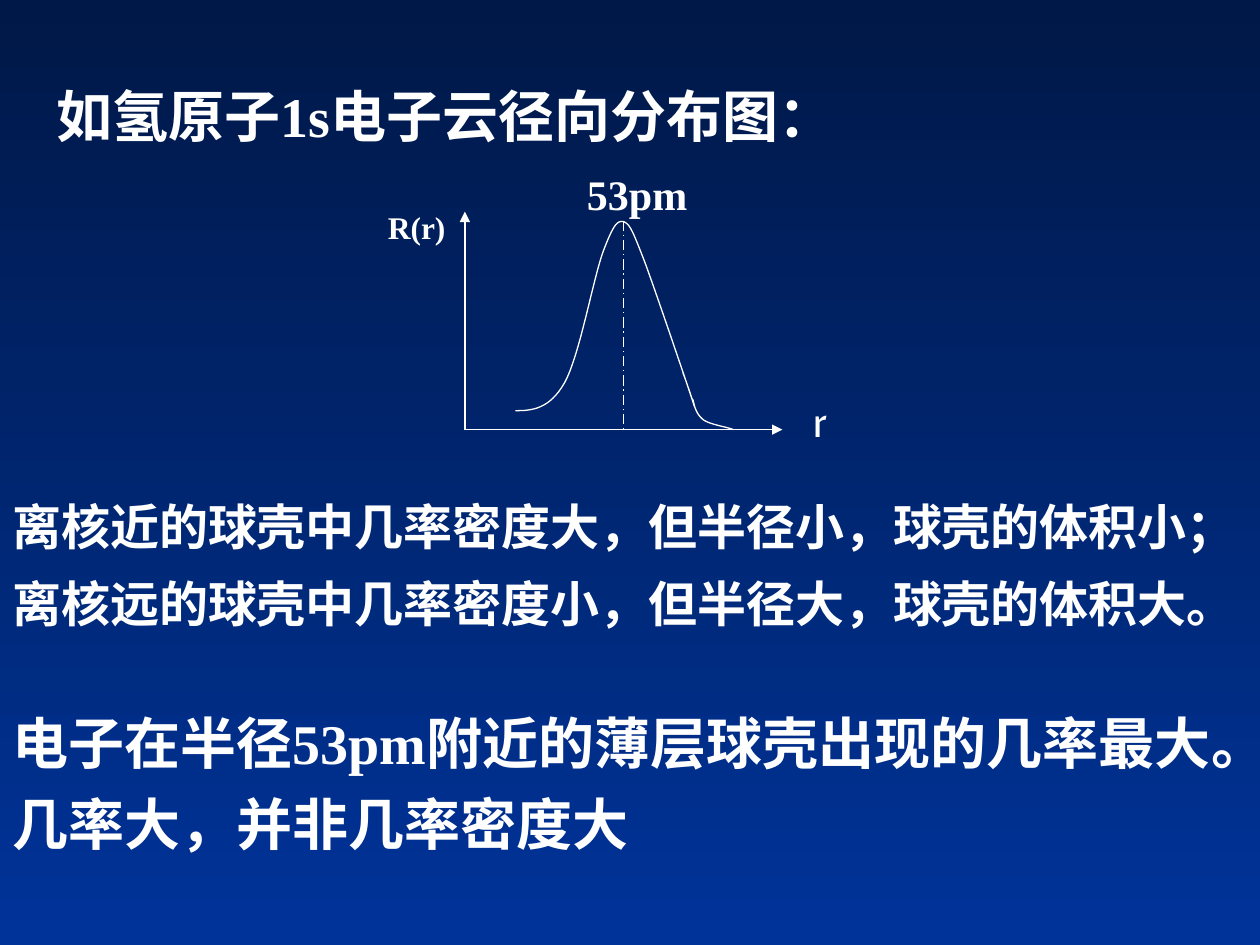
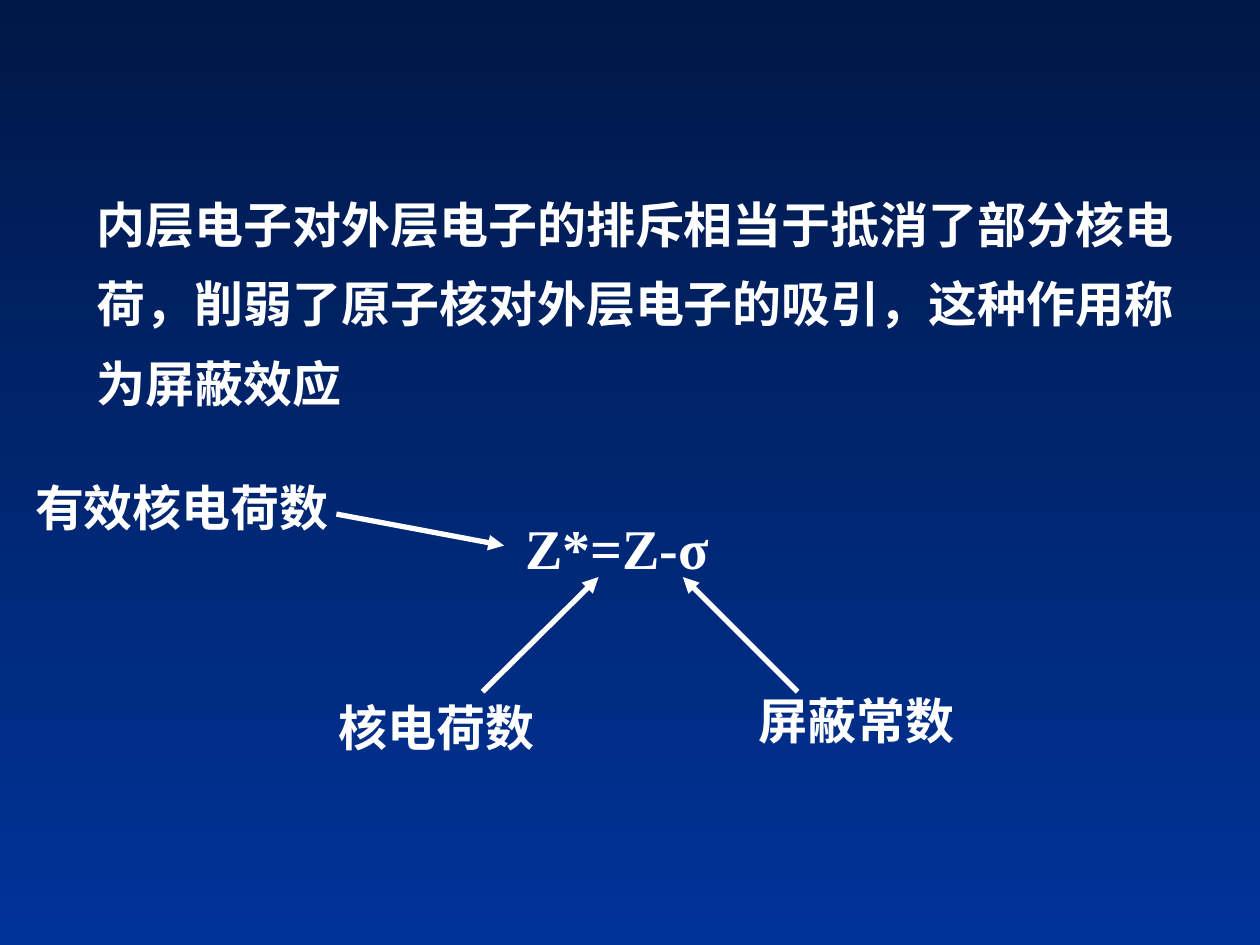
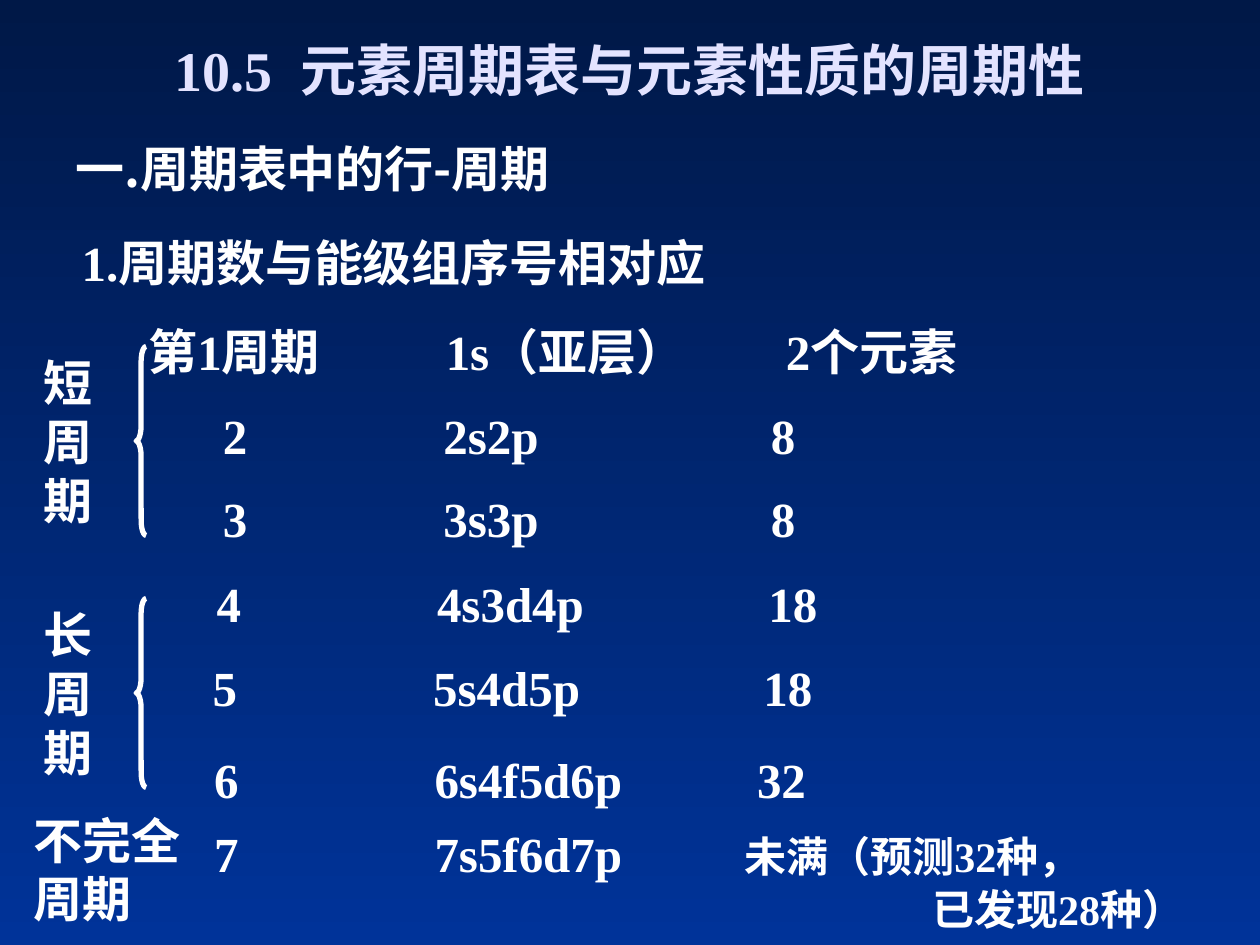
import lxml.etree
import pptx
import pptx.dml.color
import pptx.enum.dml
import pptx.enum.lang
import pptx.enum.shapes
import pptx.enum.text
import pptx.oxml.ns
import pptx.util

Inches = pptx.util.Inches
Pt = pptx.util.Pt
qn = pptx.oxml.ns.qn
ALIGN = pptx.enum.text.PP_ALIGN
ANCHOR = pptx.enum.text.MSO_ANCHOR
COLORS = {"sky": "001847", "deep": "003399", "text": "FFFFFF", "title": "E3E3FF"}
SERIF, SANS, HAN = "Times New Roman", "Cabin", "Noto Sans CJK SC"
TITLE_ONLY, BLANK = 5, 6


def rgb(name):
    return pptx.dml.color.RGBColor.from_string(COLORS[name])


def set_all(target, values):
    for key, value in values.items():
        setattr(target, key, value)


def sub(parent, tag, **attributes):
    return lxml.etree.SubElement(parent, qn(tag), attributes)


def paint_master(master):
    fill = master.background.fill
    fill.gradient()
    fill.gradient_angle = 270
    for stop, name, position in zip(fill.gradient_stops, ("sky", "deep"), (0, 1)):
        stop.color.rgb = rgb(name)
        stop.position = position


def write(shape, paragraphs, size=28, font=SERIF, bold=True, color="text", wrap=True,
          anchor=ANCHOR.TOP, layout=None, gap=0, tabs=()):
    frame = shape.text_frame
    set_all(frame, {
        "word_wrap": wrap, "vertical_anchor": anchor,
        "auto_size": pptx.enum.text.MSO_AUTO_SIZE.NONE,
        "margin_left": Inches(0.1), "margin_right": Inches(0.1),
        "margin_top": Inches(0.05), "margin_bottom": Inches(0.05),
    })
    for index, runs in enumerate(paragraphs):
        paragraph = frame.add_paragraph() if index else frame.paragraphs[0]
        if tabs:
            stops = sub(paragraph._p.get_or_add_pPr(), "a:tabLst")
            for stop in tabs:
                sub(stops, "a:tab", pos=str(Inches(stop)), algn="l")
        set_all(paragraph, {"alignment": ALIGN.LEFT, "space_before": Pt(gap if index else 0),
                            **(layout or {})})
        for text, changes in ([(runs, {})] if isinstance(runs, str) else runs):
            run = paragraph.add_run()
            run.text = text
            run.font.color.rgb = rgb(color)
            set_all(run.font, {
                "size": Pt(size), "name": font, "bold": bold,
                "language_id": pptx.enum.lang.MSO_LANGUAGE_ID.SIMPLIFIED_CHINESE,
                **changes,
            })
            sub(run.font._element, "a:ea", typeface=SANS)


def add_text(slide, box, paragraphs, **style):
    shape = slide.shapes.add_textbox(*map(Inches, box))
    write(shape, paragraphs, **style)


def add_title(slide, box, runs, **style):
    title = slide.shapes.title
    set_all(title, dict(zip(("left", "top", "width", "height"), map(Inches, box))))
    write(title, [runs], size=32, **style)
    return title


def add_line(slide, start, end, width, arrow=True, dash=None):
    line = slide.shapes.add_connector(
        pptx.enum.shapes.MSO_CONNECTOR.STRAIGHT, *map(Inches, (*start, *end)))
    line.line.color.rgb = rgb("text")
    set_all(line.line, {"width": Pt(width), "dash_style": dash})
    properties = line._element.spPr
    if arrow:
        sub(properties.find(qn("a:ln")), "a:tailEnd", type="triangle")
    sub(properties, "a:effectLst")


def outline(shape, width):
    shape.shadow.inherit = False
    shape.fill.background()
    shape.line.color.rgb = rgb("text")
    shape.line.width = Pt(width)


def bezier(points, t):
    weights = ((1 - t) ** 3, 3 * t * (1 - t) ** 2, 3 * t ** 2 * (1 - t), t ** 3)
    return tuple(sum(w * p[axis] for w, p in zip(weights, points)) for axis in (0, 1))


def add_curve(slide, points, steps=16):
    trace = [points[0]]
    for first in range(0, len(points) - 1, 3):
        segment = points[first:first + 4]
        trace += [bezier(segment, step / steps) for step in range(1, steps + 1)]
    trace = [(Inches(x), Inches(y)) for x, y in trace]
    builder = slide.shapes.build_freeform(*trace[0], scale=1.0)
    builder.add_line_segments(trace[1:], close=False)
    outline(builder.convert_to_shape(), 0.75)


def radial_plot(slide, left, bottom):
    def at(x, y):
        return left + x, bottom - y

    add_line(slide, at(0, 0), at(0, 1.73), 0.75)
    add_line(slide, at(0, 0), at(2.52, 0), 0.75)
    add_line(slide, at(1.26, 1.66), at(1.26, 0), 0.75, arrow=False,
             dash=pptx.enum.dml.MSO_LINE.LONG_DASH_DOT)
    peak = [(0.4, 0.15), (0.53, 0.15), (0.67, 0.16), (0.79, 0.37),
            (0.91, 0.58), (1.02, 1.21), (1.1, 1.42),
            (1.18, 1.63), (1.21, 1.66), (1.26, 1.65),
            (1.31, 1.63), (1.33, 1.58), (1.42, 1.35),
            (1.51, 1.11), (1.76, 0.37), (1.81, 0.22),
            (1.86, 0.07), (1.75, 0.41), (1.73, 0.45)]
    tail = [(1.81, 0.24), (1.82, 0.18), (1.84, 0.12), (1.89, 0.08),
            (1.94, 0.04), (2.09, 0.02), (2.13, 0)]
    for curve in (peak, tail):
        add_curve(slide, [at(*point) for point in curve])
    for text, x, y, width, height, style in (
        ("r", 2.67, 0.32, 0.34, 0.5, {"size": 24, "font": SANS, "bold": False}),
        ("53pm", 0.87, 2.12, 0.99, 0.5, {"size": 24}),
        ("R(r)", -0.71, 1.81, 0.66, 0.4, {"size": 18}),
    ):
        add_text(slide, (*at(x, y), width, height), [text], wrap=False, **style)


def radial_slide(slide):
    han = {"name": HAN}
    title = add_title(slide, (0.35, 0.44, 9, 0.85),
                      [("如氢原子", han), ("1s", {}), ("电子云径向分布图：", han)],
                      layout={"line_spacing": 1.3})
    title._element.txBody.p_lst[0].get_or_add_pPr().attrib.update(
        {"marL": str(Inches(0.38)), "indent": str(-Inches(0.38))})
    add_text(slide, (0, 5.47, 10.22, 2.02),
             [[("电子在半径53pm", {}), ("附近的薄层球壳出现的几率最大。", han)],
              [("几率大，并非几率密度大", han)]],
             size=32, layout={"line_spacing": 1.2})
    radial_plot(slide, 3.69, 3.41)
    add_text(slide, (0, 3.75, 10, 1.32),
             ["离核近的球壳中几率密度大，但半径小，球壳的体积小；"
              "离核远的球壳中几率密度小，但半径大，球壳的体积大。"],
             font=HAN, anchor=ANCHOR.MIDDLE, layout={"line_spacing": 1.3})


def formula(slide, left, top):
    add_text(slide, (left, top, 1.66, 0.64), ["Z*=Z-σ"], size=32, wrap=False)
    for label, x, y, width, start, end in (
        ("核电荷数", -1.48, 1.46, 1.75, (-0.24, 1.46), (0.68, 0.55)),
        ("屏蔽常数", 1.85, 1.4, 1.75, (2.26, 1.46), (1.35, 0.55)),
        ("有效核电荷数", -3.89, -0.29, 2.53, (-1.4, 0.05), (-0.07, 0.3)),
    ):
        add_text(slide, (left + x, top + y, width, 0.57), [label], font=SANS, wrap=False)
        add_line(slide, (left + start[0], top + start[1]),
                 (left + end[0], top + end[1]), 3)


def shielding_slide(slide):
    add_text(slide, (0.67, 1.33, 8.83, 1.99),
             ["内层电子对外层电子的排斥相当于抵消了部分核电荷，"
              "削弱了原子核对外层电子的吸引，这种作用称为屏蔽效应"],
             layout={"line_spacing": 1.35})
    formula(slide, 4.07, 4.03)


def period_group(slide, label, left, top, height=1.5):
    add_text(slide, (left, top, 0.59, height), list(label), font=SANS, wrap=False)
    brace = slide.shapes.add_shape(
        pptx.enum.shapes.MSO_SHAPE.LEFT_BRACE,
        *map(Inches, (left + 0.83, top, 0.08, height)))
    brace.adjustments[0] = 1.5
    outline(brace, 3)


def period_rows(slide, left, top):
    for cells, x, y, tabs, spacing in (
        (("第1周期", "1s（亚层）", "2个元素"), 0, 0, (2.36, 5.06), 1),
        (("2", "2s2p", "8"), 0.59, 0.67, (1.75, 4.35), 1),
        (("3", "3s3p", "8"), 0.59, 1.33, (1.75, 4.35), 1),
        (("4", "4s3d4p", "18"), 0.54, 2, (1.75, 4.38), 1),
        (("5", "5s4d5p", "18"), 0.51, 2.67, (1.75, 4.37), 1),
        (("6", "6s4f5d6p", "32"), 0.52, 3.45, (1.75, 4.31), 0.9),
    ):
        add_text(slide, (left + x, top + y, tabs[1] + 1.8, 0.57), ["\t".join(cells)],
                 tabs=tabs, layout={"line_spacing": spacing})
    note = {"size": Pt(24)}
    add_text(slide, (left + 0.52, top + 4.08, 8.48, 0.92),
             [[("7\t7s5f6d7p\t", {}), ("未满（预测32种，", note)],
              [("\t已发现28种）", note)]],
             tabs=(1.75, 4.21), gap=6, layout={"line_spacing": 0.8})
    last = slide.shapes[-1].text_frame.paragraphs[1]._p
    stops = last.pPr.find(qn("a:tabLst"))
    stops.remove(stops[0])
    stops[0].set("pos", str(Inches(5.7)))


def periods_slide(slide):
    title = add_title(slide, (0, -0.08, 10, 1.25),
                      [("10.5", {}), (" ", {}), ("元素周期表与元素性质的周期性", {})],
                      color="title", anchor=ANCHOR.MIDDLE, layout={"alignment": ALIGN.CENTER})
    title.text_frame.paragraphs[0].runs[1].font._element.set("spc", "800")
    add_text(slide, (0.5, 1.05, 4.5, 0.57), ["一.周期表中的行-周期"], font=HAN)
    add_text(slide, (0.55, 1.8, 5.24, 0.57), ["1.周期数与能级组序号相对应"], wrap=False)
    period_rows(slide, 1.08, 2.5)
    for label, top in (("短周期", 2.75), ("长周期", 4.75)):
        period_group(slide, label, 0.25, top)
    add_text(slide, (0.17, 6.38, 1.36, 1.04), ["不完全", "周期"], font=SANS, wrap=False)


def main():
    deck = pptx.Presentation()
    set_all(deck, {"slide_width": Inches(10), "slide_height": Inches(7.5)})
    paint_master(deck.slide_master)
    for build, layout in ((radial_slide, TITLE_ONLY), (shielding_slide, BLANK),
                          (periods_slide, TITLE_ONLY)):
        build(deck.slides.add_slide(deck.slide_layouts[layout]))
    deck.save("out.pptx")


if __name__ == "__main__":
    main()
